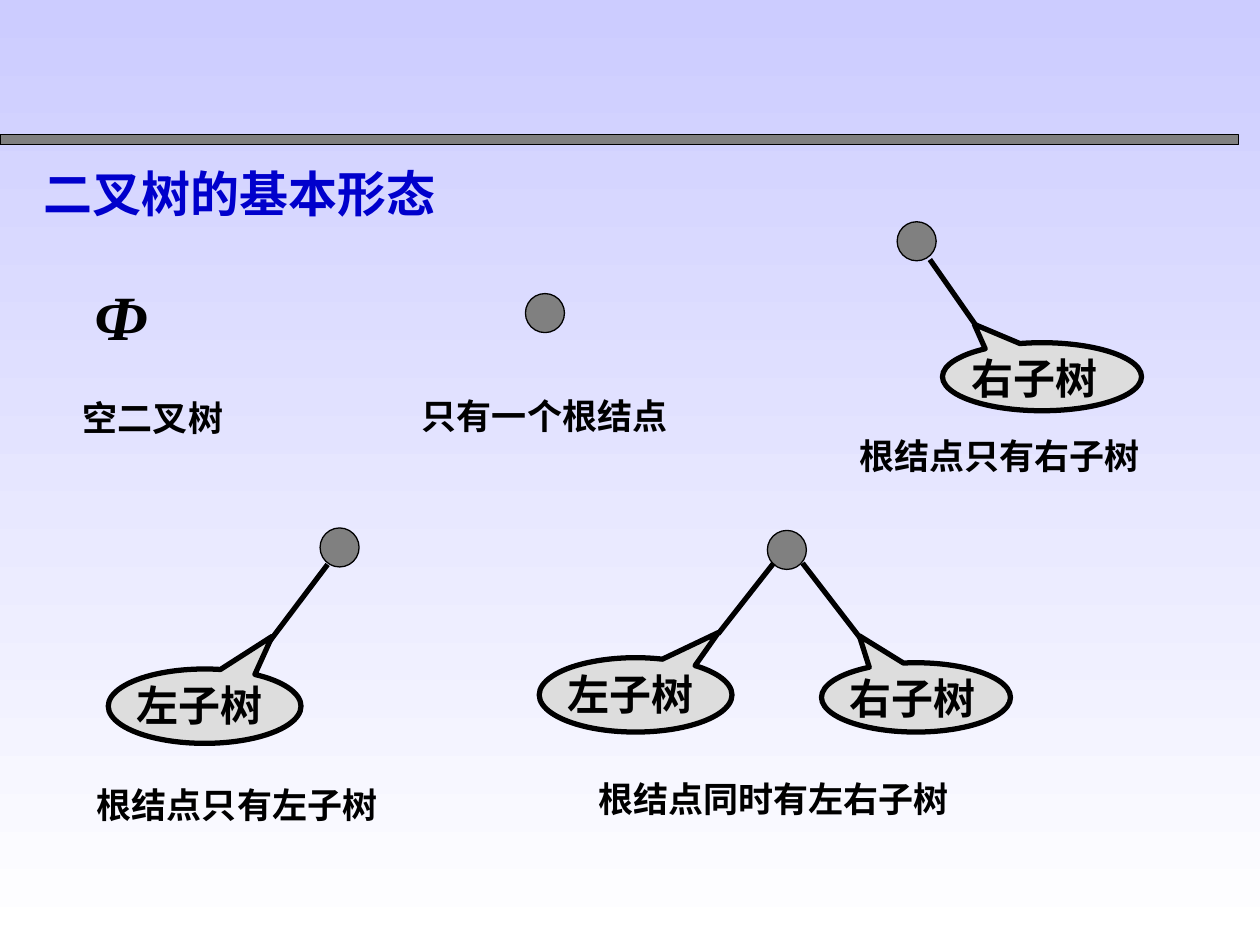
"""Build a slide showing the five basic forms of a binary tree."""
from lxml.etree import SubElement
from pptx import Presentation
from pptx.dml.color import RGBColor
from pptx.enum.shapes import MSO_CONNECTOR, MSO_SHAPE
from pptx.enum.text import MSO_ANCHOR, PP_ALIGN
from pptx.oxml.ns import qn
from pptx.util import Inches, Pt

COLORS = {
    "top": "CCCCFF", "bottom": "FFFFFF", "gray": "808080",
    "callout": "DDDDDD", "black": "000000", "title": "0000CC",
}
FONT = "Times New Roman"
NODE_SIZE = 0.31
BAR = (0, 1.07, 9.83, 0.08)
TITLE = ("二叉树的基本形态", (0.25, 1.25, 5.17, 0.57))
EMPTY_SYMBOL = ("Ф", (0.75, 2.2, 0.99, 0.94))
FORMS = [
    {"caption": ("空二叉树", (0.56, 3.1, 1.83, 0.44))},
    {"caption": ("只有一个根结点", (3.25, 3.08, 2.25, 0.44)), "node": (4.17, 2.33)},
    {
        "caption": ("根结点只有左子树", (0.67, 6.17, 2.58, 0.44)),
        "node": (2.54, 4.19),
        "subtrees": [
            ("左子树", (0.86, 5.31, 1.53, 0.59), (0.35, -0.94), (2.6, 4.48, 2.14, 5.09)),
        ],
    },
    {
        "caption": ("根结点只有右子树", (6.72, 3.4, 2.5, 0.44)),
        "node": (7.12, 1.76),
        "subtrees": [
            ("右子树", (7.48, 2.72, 1.58, 0.54), (-0.34, -0.77), (7.38, 2.06, 7.75, 2.59)),
        ],
    },
    {
        "caption": ("根结点同时有左右子树", (4.65, 6.12, 3.05, 0.44)),
        "node": (6.09, 4.21),
        "subtrees": [
            ("左子树", (4.28, 5.22, 1.53, 0.59), (0.43, -0.84), (6.14, 4.47, 5.7, 5.03)),
            ("右子树", (6.52, 5.26, 1.5, 0.55), (-0.3, -0.89), (6.37, 4.47, 6.84, 5.08)),
        ],
    },
]


def color(name):
    return RGBColor.from_string(COLORS[name])


def inches(values):
    return [Inches(value) for value in values]


def write(shape, text, size, text_color="black", margins=(0.1, 0.05), italic=False,
          alignment=PP_ALIGN.LEFT):
    frame = shape.text_frame
    frame.word_wrap = True
    frame.vertical_anchor = MSO_ANCHOR.TOP
    frame.margin_left = frame.margin_right = Inches(margins[0])
    frame.margin_top = frame.margin_bottom = Inches(margins[1])
    paragraph = frame.paragraphs[0]
    paragraph.text = text
    paragraph.alignment = alignment
    font = paragraph.font
    font.name = FONT
    font.size = Pt(size)
    font.bold = True
    font.italic = italic
    font.color.rgb = color(text_color)


def add_text(slide, text, box, size, **style):
    write(slide.shapes.add_textbox(*inches(box)), text, size, **style)


def add_filled(slide, kind, box, fill, line_width):
    shape = slide.shapes.add_shape(kind, *inches(box))
    shape.shadow.inherit = False
    shape.fill.solid()
    shape.fill.fore_color.rgb = color(fill)
    shape.line.color.rgb = color("black")
    shape.line.width = Pt(line_width)
    return shape


def add_branch(slide, ends):
    branch = slide.shapes.add_connector(MSO_CONNECTOR.STRAIGHT, *inches(ends))
    branch.line.color.rgb = color("black")
    branch.line.width = Pt(3)
    SubElement(branch._element.spPr, qn("a:effectLst"))


def add_subtree(slide, text, box, tip, branch):
    add_branch(slide, branch)
    callout = add_filled(slide, MSO_SHAPE.OVAL_CALLOUT, box, "callout", 3)
    for index, offset in enumerate(tip):
        callout.adjustments[index] = offset
    write(callout, text, 24, margins=(0, 0), alignment=PP_ALIGN.JUSTIFY)


def add_form(slide, form):
    if "node" in form:
        box = (*form["node"], NODE_SIZE, NODE_SIZE)
        add_filled(slide, MSO_SHAPE.OVAL, box, "gray", 0.75)
    for subtree in form.get("subtrees", []):
        add_subtree(slide, *subtree)
    add_text(slide, *form["caption"], 20)


def paint_background(slide):
    fill = slide.background.fill
    fill.gradient()
    fill.gradient_angle = 270
    for stop, name, position in zip(fill.gradient_stops, ("top", "bottom"), (0, 1)):
        stop.color.rgb = color(name)
        stop.position = position


def main():
    presentation = Presentation()
    presentation.slide_width = Inches(10)
    presentation.slide_height = Inches(7.5)
    slide = presentation.slides.add_slide(presentation.slide_layouts[6])
    paint_background(slide)
    add_filled(slide, MSO_SHAPE.RECTANGLE, BAR, "gray", 0.75)
    add_text(slide, *TITLE, 28, text_color="title")
    add_text(slide, *EMPTY_SYMBOL, 36, margins=(0, 0), italic=True,
             alignment=PP_ALIGN.JUSTIFY)
    for form in FORMS:
        add_form(slide, form)
    presentation.save("out.pptx")


if __name__ == "__main__":
    main()
